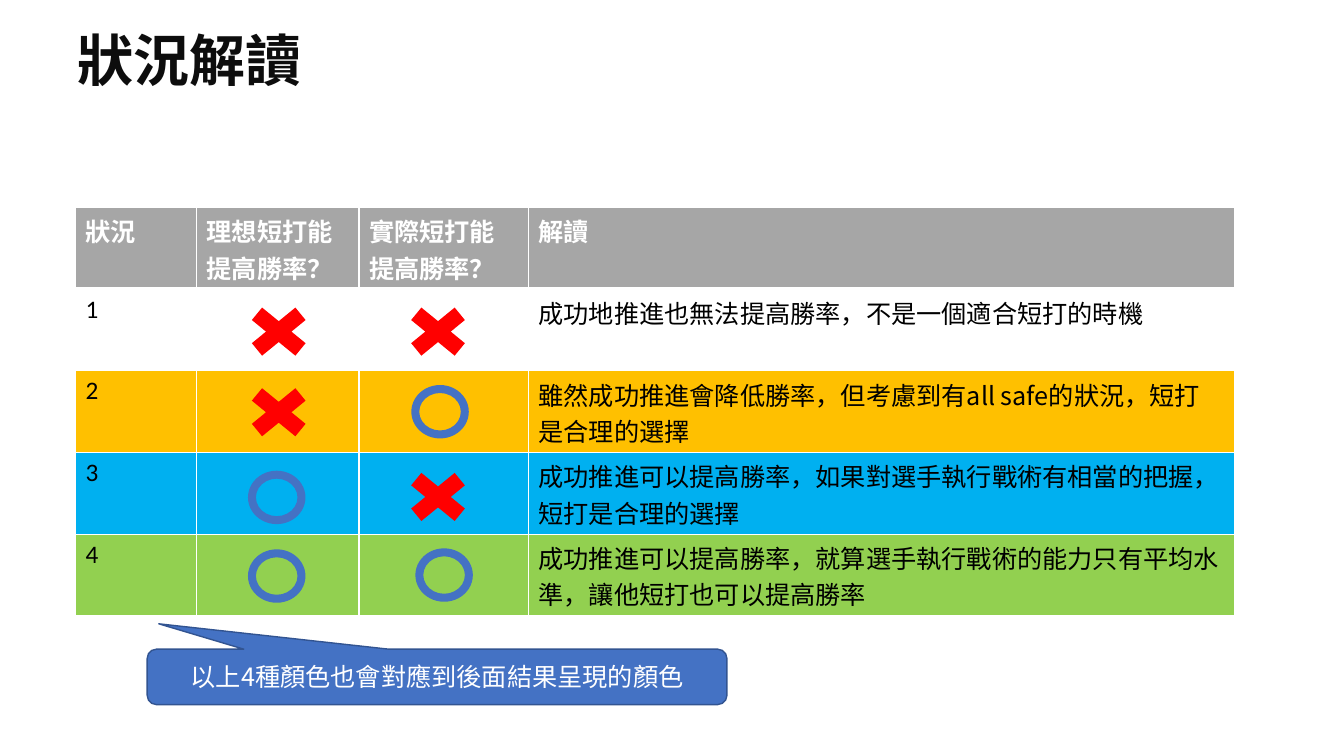
from lxml import etree
from pptx import Presentation
from pptx import util as u
from pptx.dml.color import RGBColor
from pptx.enum import shapes, text
from pptx.oxml.ns import qn

CJK, LATIN = "Noto Sans CJK SC", "Calibri"
BLUE, RED, WHITE, BLACK = "4472C4", "FF0000", "FFFFFF", "000000"


def rgb(value):
    return RGBColor.from_string(value)


class SlideBuilder:
    def __init__(self, slide):
        self.slide = slide

    def set_text(self, tf, lines, size=18, color=BLACK, font=CJK, bold=False, align=None):
        for i, line in enumerate(lines):
            p = tf.paragraphs[0] if i == 0 else tf.add_paragraph()
            p.text = line
            p.alignment = align
            f = p.font
            f.size, f.bold, f.name = u.Pt(size), bold, font
            f.color.rgb = rgb(color)
            props = p._p.get_or_add_pPr().get_or_add_defRPr()
            etree.SubElement(props, qn("a:ea"), typeface=CJK)

    def title(self, box, line):
        tf = self.slide.shapes.add_textbox(*map(u.Inches, box)).text_frame
        tf.word_wrap = True
        tf.vertical_anchor = text.MSO_ANCHOR.MIDDLE
        self.set_text(tf, [line], 40, "0D0D0D", LATIN, True)
        tf.paragraphs[0].line_spacing = 0.9

    def shape(self, kind, box, fill, adjustments=(), line=None):
        sp = self.slide.shapes.add_shape(kind, *map(u.Inches, box))
        sp.shadow.inherit = False
        sp.fill.solid()
        sp.fill.fore_color.rgb = rgb(fill)
        for i, value in enumerate(adjustments):
            sp.adjustments[i] = value
        if line:
            sp.line.color.rgb = rgb(line)
            sp.line.width = u.Pt(1)
        else:
            sp.line.fill.background()
        return sp

    def circle(self, left, top):
        self.shape(shapes.MSO_SHAPE.DONUT, (left, top, 0.57, 0.53), BLUE, [0.149])

    def cross(self, left, top):
        self.shape(shapes.MSO_SHAPE.MATH_MULTIPLY, (left, top, 0.83, 0.68), RED)

    def callout(self, box, line):
        sp = self.shape(shapes.MSO_SHAPE.ROUNDED_RECTANGULAR_CALLOUT, box, BLUE,
                        [-0.48, -0.958, 0.167], "325491")
        sp.text_frame.word_wrap = True
        sp.text_frame.vertical_anchor = text.MSO_ANCHOR.MIDDLE
        self.set_text(sp.text_frame, [line], color=WHITE, align=text.PP_ALIGN.CENTER)

    def table(self, left, top, widths, row_height, rows, fills):
        size = (sum(widths), row_height * len(rows))
        table = self.slide.shapes.add_table(
            len(rows), len(widths), *map(u.Inches, (left, top) + size)).table
        for column, width in zip(table.columns, widths):
            column.width = u.Inches(width)
        for r, (row, fill) in enumerate(zip(rows, fills)):
            table.rows[r].height = u.Inches(row_height)
            for c, lines in enumerate(row):
                cell = table.cell(r, c)
                cell.fill.solid()
                cell.fill.fore_color.rgb = rgb(fill)
                self.borders(cell, top=3 if r == 1 else 1, bottom=3 if r == 0 else 1)
                header = r == 0
                font = LATIN if c == 0 and not header else CJK
                self.set_text(cell.text_frame, lines, font=font, bold=header,
                              color=WHITE if header else BLACK)

    def borders(self, cell, top, bottom):
        tc_pr = cell._tc.get_or_add_tcPr()
        sides = (("L", 1), ("R", 1), ("T", top), ("B", bottom))
        for i, (side, width) in enumerate(sides):
            ln = etree.Element(qn(f"a:ln{side}"), w=str(u.Pt(width)))
            fill = etree.SubElement(ln, qn("a:solidFill"))
            etree.SubElement(fill, qn("a:srgbClr"), val=WHITE)
            tc_pr.insert(i, ln)


def main():
    prs = Presentation()
    prs.slide_width, prs.slide_height = u.Inches(13.33), u.Inches(7.5)
    s = SlideBuilder(prs.slides.add_slide(prs.slide_layouts[6]))

    s.title((0.67, 0.19, 12, 0.87), "狀況解讀")

    # Situations and their readings
    readings = [
        "成功地推進也無法提高勝率，不是一個適合短打的時機",
        "雖然成功推進會降低勝率，但考慮到有all safe的狀況，短打是合理的選擇",
        "成功推進可以提高勝率，如果對選手執行戰術有相當的把握，短打是合理的選擇",
        "成功推進可以提高勝率，就算選手執行戰術的能力只有平均水準，讓他短打也可以提高勝率",
    ]
    header = [["狀況"], ["理想短打能", "提高勝率？"], ["實際短打能", "提高勝率？"], ["解讀"]]
    rows = [header] + [[[str(n)], [""], [""], [reading]]
                       for n, reading in enumerate(readings, 1)]
    s.table(0.75, 2.06, (1.2, 1.61, 1.68, 7.01), 0.81, rows,
            ("A6A6A6", WHITE, "FFC000", "00B0F0", "92D050"))

    # Marks: circle for yes, cross for no
    for left, top in ((2.46, 5.45), (4.12, 5.44), (2.46, 4.67), (4.08, 3.82)):
        s.circle(left, top)
    for left, top in ((2.35, 2.95), (3.93, 2.95), (2.35, 3.75), (3.93, 4.59)):
        s.cross(left, top)

    # Note on the row colours
    s.callout((1.46, 6.44, 5.75, 0.55), "以上4種顏色也會對應到後面結果呈現的顏色")

    prs.save("out.pptx")


if __name__ == "__main__":
    main()
